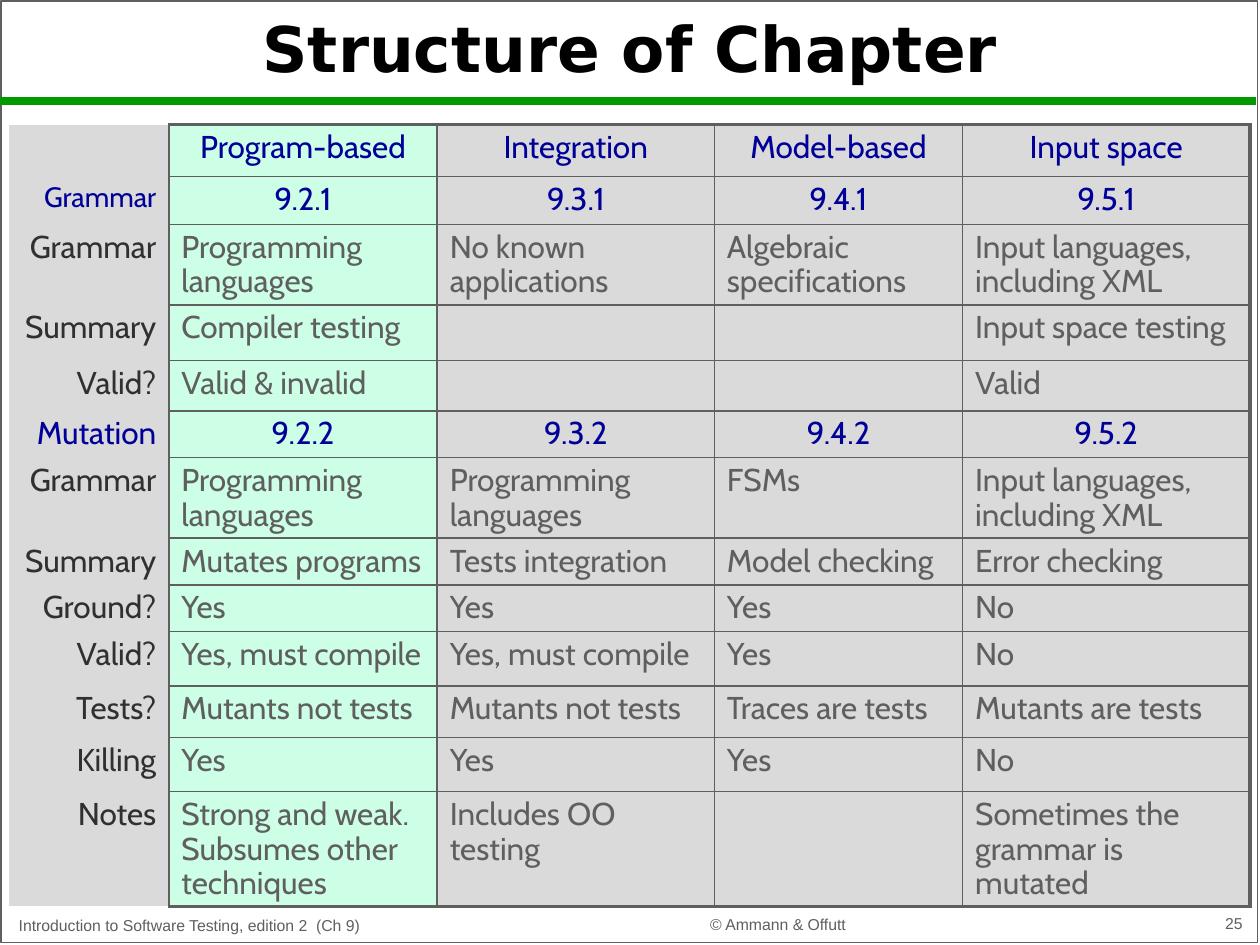
from typing import NamedTuple

from lxml import etree
from pptx import Presentation
from pptx.dml.color import RGBColor
from pptx.enum.shapes import MSO_CONNECTOR, MSO_SHAPE
from pptx.enum.text import MSO_ANCHOR, PP_ALIGN
from pptx.oxml.ns import qn
from pptx.util import Inches, Pt

LEFT, MID, RIGHT = PP_ALIGN.LEFT, PP_ALIGN.CENTER, PP_ALIGN.RIGHT
RECT, LINE = MSO_SHAPE.RECTANGLE, MSO_CONNECTOR.STRAIGHT
HEX = {"gray": "5F5F5F", "dark": "303030", "blue": "000099", "black": "000000",
       "green": "009900", "mint": "CDFFE6", "pale": "DADADA"}
NO_STYLE = "{2D5ABB26-0587-4C30-8999-92F81FD0307C}"
THIN, THICK = 1, 2.25


class Row(NamedTuple):
    high: float
    label: str
    cells: tuple[str, ...]
    head: bool = False
    size: int = 18


class Note(NamedTuple):
    text: str
    left: float
    top: float
    width: float
    align: PP_ALIGN


WIDTHS = (1.27, 2.13, 2.2, 1.97, 2.28)
ROWS = (
    Row(0.41, "", ("Program-based", "Integration", "Model-based", "Input space"), True),
    Row(0.38, "Grammar", ("9.2.1", "9.3.1", "9.4.1", "9.5.1"), True, 16),
    Row(0.64, "Grammar", ("Programming languages", "No known applications",
                          "Algebraic specifications", "Input languages, including XML")),
    Row(0.44, "Summary", ("Compiler testing", "", "", "Input space testing")),
    Row(0.38, "Valid?", ("Valid & invalid", "", "", "Valid")),
    Row(0.37, "Mutation", ("9.2.2", "9.3.2", "9.4.2", "9.5.2"), True),
    Row(0.64, "Grammar", ("Programming languages", "Programming languages",
                          "FSMs", "Input languages, including XML")),
    Row(0.37, "Summary", ("Mutates programs", "Tests integration",
                          "Model checking", "Error checking")),
    Row(0.37, "Ground?", ("Yes", "Yes", "Yes", "No")),
    Row(0.43, "Valid?", ("Yes, must compile", "Yes, must compile", "Yes", "No")),
    Row(0.41, "Tests?", ("Mutants not tests", "Mutants not tests",
                         "Traces are tests", "Mutants are tests")),
    Row(0.43, "Killing", ("Yes", "Yes", "Yes", "No")),
    Row(0.91, "Notes", ("Strong and weak. Subsumes other techniques",
                        "Includes OO testing", "", "Sometimes the grammar is mutated")),
)
NOTES = (
    Note("Introduction to Software Testing, edition 2 \u00a0(Ch 9)".replace("\u00a0", " "),
         0.05, 7.19, 4.25, LEFT),
    Note("© Ammann & Offutt", 4.59, 7.18, 3.17, MID),
    Note("25", 7.88, 7.17, 2.08, RIGHT),
)


def color(name: str) -> RGBColor:
    return RGBColor.from_string(HEX[name])


def write(frame, text: str, *, size: float, font: str, ink: str,
          align: PP_ALIGN = LEFT, bold: bool = False, space: float = 1) -> None:
    frame.word_wrap = True
    para = frame.paragraphs[0]
    para.alignment = align
    para.line_spacing = space
    run = para.add_run()
    run.text = text
    run.font.size = Pt(size)
    run.font.name = font
    run.font.bold = bold
    run.font.color.rgb = color(ink)


def add_box(slide, left: float, top: float, width: float, height: float,
            anchor: MSO_ANCHOR):
    box = slide.shapes.add_textbox(Inches(left), Inches(top), Inches(width), Inches(height))
    box.text_frame.vertical_anchor = anchor
    return box.text_frame


def edge(cell, **sides: float) -> None:
    """Draw cell borders; keys are L, R, T, B in schema order, values are points."""
    props = cell._tc.get_or_add_tcPr()
    for spot, (side, width) in enumerate(sides.items()):
        line = etree.Element(qn(f"a:ln{side}"), w=str(Pt(width)))
        fill = etree.SubElement(line, qn("a:solidFill"))
        etree.SubElement(fill, qn("a:srgbClr"), val=HEX["gray"])
        props.insert(spot, line)


def add_frame(slide) -> None:
    frame = slide.shapes.add_shape(RECT, Inches(0.01), Inches(0.01), Inches(9.97), Inches(7.47))
    frame.shadow.inherit = False
    frame.fill.background()
    frame.line.color.rgb = color("gray")
    frame.line.width = Pt(1)
    rule = slide.shapes.add_connector(LINE, Inches(0), Inches(0.8), Inches(9.97), Inches(0.8))
    rule.line.color.rgb = color("green")
    rule.line.width = Pt(4.5)
    etree.SubElement(rule._element.spPr, qn("a:effectLst"))


def add_grid(slide) -> None:
    shape = slide.shapes.add_table(
        len(ROWS), len(WIDTHS), Inches(0.07), Inches(0.99),
        Inches(sum(WIDTHS)), Inches(sum(row.high for row in ROWS)))
    table = shape.table
    table.first_row = table.horz_banding = False
    table._tbl.tblPr.find(qn("a:tableStyleId")).text = NO_STYLE
    for col, width in zip(table.columns, WIDTHS):
        col.width = Inches(width)
    last_row, last_col = len(ROWS) - 1, len(WIDTHS) - 1
    for r, row in enumerate(ROWS):
        table.rows[r].height = Inches(row.high)
        for c, text in enumerate((row.label, *row.cells)):
            cell = table.cell(r, c)
            cell.fill.solid()
            cell.fill.fore_color.rgb = color("mint" if c == 1 else "pale")
            if c == 0:
                edge(cell, R=THIN)
                align, plain, size = RIGHT, "dark", row.size
            else:
                edge(cell, L=THIN, R=THICK if c == last_col else THIN,
                     T=THICK if r == 0 else THIN, B=THICK if r == last_row else THIN)
                align, plain, size = MID if row.head else LEFT, "gray", 18
            if text:
                write(cell.text_frame, text, size=size, font="Cabin", align=align,
                      ink="blue" if row.head else plain, space=0.9)


def main() -> None:
    deck = Presentation()
    deck.slide_width, deck.slide_height = Inches(10), Inches(7.5)
    slide = deck.slides.add_slide(deck.slide_layouts[6])
    add_frame(slide)
    for note in NOTES:
        frame = add_box(slide, note.left, note.top, note.width, 0.28, MSO_ANCHOR.BOTTOM)
        write(frame, note.text, size=9, font="Arial", ink="gray", align=note.align)
    title = add_box(slide, 0.17, 0.11, 9.66, 0.61, MSO_ANCHOR.MIDDLE)
    write(title, "Structure of Chapter", size=36, font="DejaVu Sans", ink="black",
          align=MID, bold=True, space=0.9)
    add_grid(slide)
    deck.save("out.pptx")


if __name__ == "__main__":
    main()
